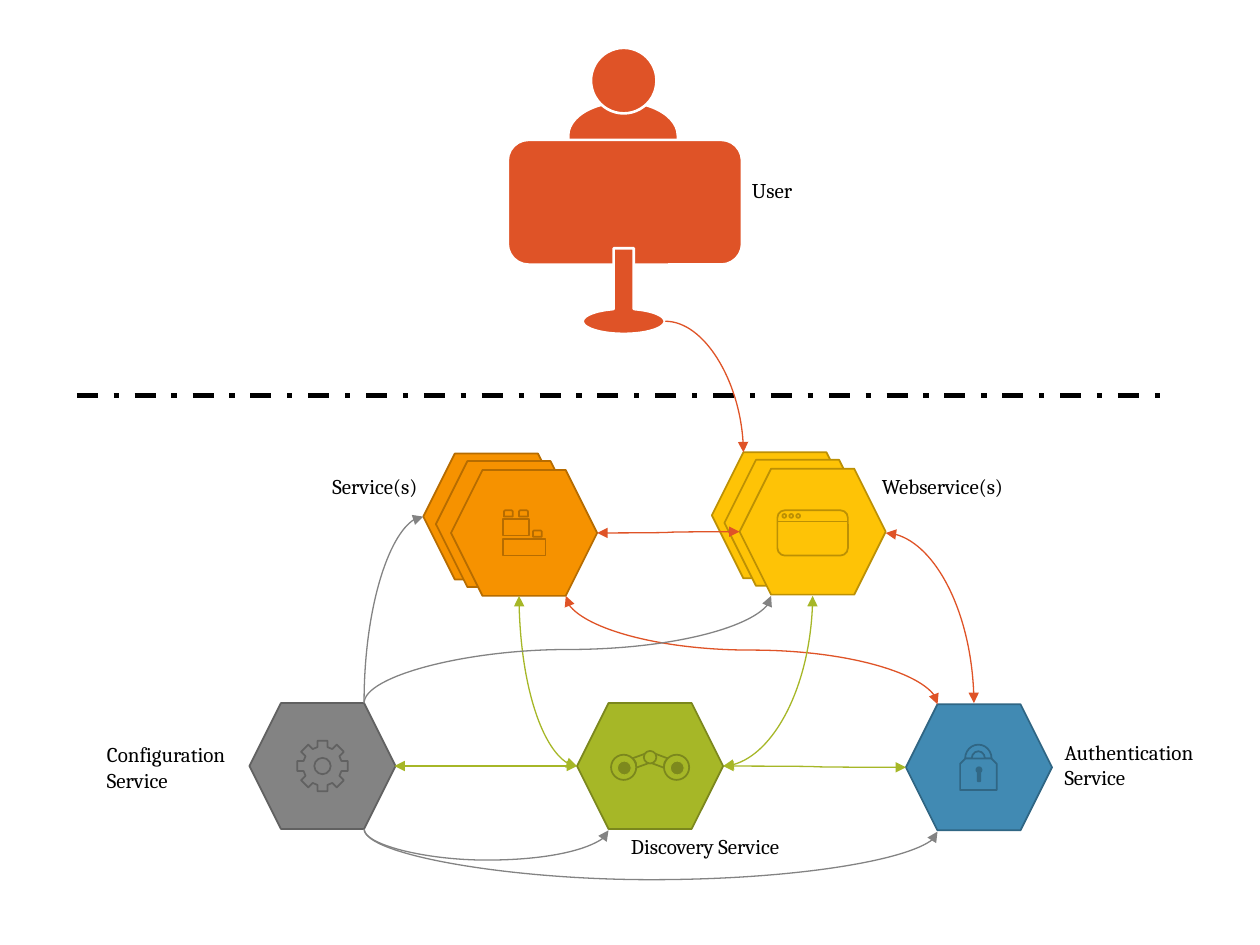
from dataclasses import dataclass
from math import cos, radians, sin

from lxml import etree
from pptx import Presentation
from pptx.dml.color import RGBColor
from pptx.enum.dml import MSO_LINE
from pptx.enum.shapes import MSO_CONNECTOR, MSO_SHAPE
from pptx.enum.text import MSO_AUTO_SIZE
from pptx.oxml.ns import qn
from pptx.util import Inches, Pt

HEXAGON, OVAL, RECT = MSO_SHAPE.HEXAGON, MSO_SHAPE.OVAL, MSO_SHAPE.RECTANGLE
ROUNDED, SNIPPED = MSO_SHAPE.ROUNDED_RECTANGLE, MSO_SHAPE.SNIP_2_SAME_RECTANGLE
BLOCK_ARC, DELAY = MSO_SHAPE.BLOCK_ARC, MSO_SHAPE.FLOWCHART_DELAY
TUBE = MSO_SHAPE.FLOWCHART_STORED_DATA
STRAIGHT, CURVE = MSO_CONNECTOR.STRAIGHT, MSO_CONNECTOR.CURVE


@dataclass(frozen=True)
class Theme:
    """Colour pairs are (fill, line)."""
    blue = ("418AB3", "306684")
    green = ("A6B727", "7B871D")
    grey = ("838383", "616161")
    orange = ("F69200", "B66C00")
    yellow = ("FEC306", "BC9004")
    user = ("DF5327", "FFFFFF")
    keyhole = ("316886", "316886")
    lens = ("7D891D", "A6B727")
    black = "000000"
    font = "Cambria"
    text_size = 12
    outline, lens_line, user_line, flow, border = 1, 0.5, 1.5, 0.75, 3


T = Theme()
HEX_W, HEX_H = 1.16, 1


def paint(sp, colors, width=T.outline):
    fill, line = colors
    sp.shadow.inherit = False
    sp.fill.solid()
    sp.fill.fore_color.rgb = RGBColor.from_string(fill)
    sp.line.color.rgb = RGBColor.from_string(line)
    sp.line.width = Pt(width)
    return sp


def add_part(shapes, kind, box, colors, width=T.outline, rotation=0):
    sp = shapes.add_shape(kind, *map(Inches, box))
    sp.rotation = rotation
    return paint(sp, colors, width)


def add_outline(shapes, points, colors, width=T.outline):
    first, *rest = [(Inches(x), Inches(y)) for x, y in points]
    builder = shapes.build_freeform(*first)
    builder.add_line_segments(rest, close=True)
    return paint(builder.convert_to_shape(), colors, width)


def arc(cx, cy, rx, ry, first, last, step=6):
    """Points on an ellipse, angles in degrees clockwise from the right."""
    return [(cx + rx * cos(radians(a)), cy + ry * sin(radians(a)))
            for a in range(first, last + 1, step)]


def add_line(shapes, kind, start, end, color, width):
    cn = shapes.add_connector(kind, *map(Inches, (*start, *end)))
    cn.line.color.rgb = RGBColor.from_string(color)
    cn.line.width = Pt(width)
    etree.SubElement(cn._element.spPr, qn("a:effectLst"))
    return cn


def add_flow(shapes, start, end, color, both=True, quarter=False, bend=None, vertical=False):
    """Curved arrow; quarter is a single turn, vertical leaves start up or down."""
    cn = add_line(shapes, CURVE, start, end, color, T.flow)
    sp_pr = cn._element.spPr
    ln = sp_pr.find(qn("a:ln"))
    for tag in ("a:headEnd", "a:tailEnd") if both else ("a:tailEnd",):
        etree.SubElement(ln, qn(tag), type="triangle")
    geom = sp_pr.find(qn("a:prstGeom"))
    if quarter:
        geom.set("prst", "curvedConnector2")
    if bend:
        etree.SubElement(geom.find(qn("a:avLst")), qn("a:gd"), name="adj1",
                         fmla=f"val {round(bend * 100000)}")
    if vertical:
        down = end[1] > start[1]
        left, top, width, height = cn.left, cn.top, cn.width, cn.height
        cn.left, cn.top = left + (width - height) // 2, top + (height - width) // 2
        cn.width, cn.height = height, width
        xfrm = sp_pr.find(qn("a:xfrm"))
        xfrm.set("rot", str((270 if down else 90) * 60000))
        xfrm.set("flipH", "1")
        xfrm.set("flipV", "0" if down else "1")


def add_hexagons(slide, x, y, colors, offsets=((0, 0),)):
    shapes = slide.shapes.add_group_shape().shapes
    for dx, dy in offsets:
        add_part(shapes, HEXAGON, (x + dx, y + dy, HEX_W, HEX_H), colors)
    return shapes


def authentication(slide, x, y):
    shapes = add_hexagons(slide, x, y, T.blue)
    shackle = add_part(shapes, BLOCK_ARC, (x + 0.47, y + 0.32, 0.21, 0.22), T.blue)
    for i, value in enumerate((108, 0, 0.25)):
        shackle.adjustments[i] = value
    add_part(shapes, SNIPPED, (x + 0.43, y + 0.43, 0.29, 0.25), T.blue)
    cx = x + 0.58
    hole = arc(cx, y + 0.52, 0.02, 0.02, 120, 420)
    add_outline(shapes, hole + [(cx + 0.01, y + 0.61), (cx - 0.01, y + 0.61)], T.keyhole)


def discovery(slide, x, y):
    shapes = add_hexagons(slide, x, y, T.green)
    for dx, angle in ((0.43, 160), (0.54, 20.5)):
        add_part(shapes, TUBE, (x + dx, y + 0.41, 0.19, 0.08), T.green, rotation=angle)
    add_part(shapes, OVAL, (x + 0.53, y + 0.38, 0.1, 0.1), T.green)
    for dx in (0.27, 0.69):
        add_part(shapes, OVAL, (x + dx, y + 0.41, 0.2, 0.2), T.green)
        add_part(shapes, OVAL, (x + dx + 0.05, y + 0.46, 0.11, 0.11), T.lens, T.lens_line)


def configuration(slide, x, y):
    shapes = add_hexagons(slide, x, y, T.grey)
    cx, cy = x + HEX_W / 2, y + HEX_H / 2
    tooth = ((0.15, -0.04), (0.2, -0.04), (0.2, 0.04), (0.15, 0.04))
    gear = [(cx + u * cos(a) - v * sin(a), cy + u * sin(a) + v * cos(a))
            for a in map(radians, range(0, 360, 45)) for u, v in tooth]
    add_outline(shapes, gear, T.grey)
    add_part(shapes, OVAL, (cx - 0.065, cy - 0.065, 0.13, 0.13), T.grey)


STACK = ((0, 0), (0.1, 0.06), (0.22, 0.13))


def services(slide, x, y):
    shapes = add_hexagons(slide, x, y, T.orange, STACK)
    for dy, width in ((0.52, 0.21), (0.68, 0.34)):
        add_part(shapes, RECT, (x + 0.63, y + dy, width, 0.13), T.orange)
    for dx, dy in ((0.64, 0.45), (0.76, 0.45), (0.87, 0.61)):
        add_part(shapes, SNIPPED, (x + dx, y + dy, 0.07, 0.05), T.orange)


def webservices(slide, x, y):
    shapes = add_hexagons(slide, x, y, T.yellow, STACK)
    left, top, width = x + 0.52, y + 0.46, 0.56
    add_part(shapes, ROUNDED, (left, top, width, 0.36), T.yellow)
    add_line(shapes, STRAIGHT, (left, top + 0.09), (left + width, top + 0.09),
             T.yellow[1], T.outline)
    for i in range(3):
        add_part(shapes, OVAL, (left + 0.04 + i * 0.055, top + 0.03, 0.03, 0.03), T.yellow)


def user(slide, x, y):
    shapes = slide.shapes.add_group_shape().shapes
    style = (T.user, T.user_line)
    add_part(shapes, DELAY, (x + 0.65, y + 0.26, 0.53, 0.87), *style, rotation=270)
    add_part(shapes, OVAL, (x + 0.66, y, 0.52, 0.52), *style)
    add_part(shapes, ROUNDED, (x, y + 0.73, 1.86, 0.99), *style)
    cx, post_top = x + 0.92, y + 1.59
    foot = arc(cx, y + 2.17, 0.325, 0.1, -75, 255)
    add_outline(shapes, [(cx - 0.08, post_top), (cx + 0.08, post_top),
                         (cx + 0.08, y + 2.07), *foot, (cx - 0.08, y + 2.07)], *style)


def label(slide, box, *lines):
    tf = slide.shapes.add_textbox(*map(Inches, box)).text_frame
    tf.word_wrap = False
    tf.auto_size = MSO_AUTO_SIZE.SHAPE_TO_FIT_TEXT
    for i, line in enumerate(lines):
        p = tf.add_paragraph() if i else tf.paragraphs[0]
        r = p.add_run()
        r.text = line
        r.font.name, r.font.size = T.font, Pt(T.text_size)
        r.font.color.rgb = RGBColor.from_string(T.black)


def flows(shapes):
    red, green, grey = T.user[0], T.green[0], T.grey[0]
    add_flow(shapes, (5.28, 2.55), (5.9, 3.59), red, both=False, quarter=True)
    add_flow(shapes, (7.03, 4.23), (7.73, 5.58), red, quarter=True)
    add_flow(shapes, (4.74, 4.23), (5.87, 4.22), red)
    add_flow(shapes, (4.49, 4.73), (7.44, 5.59), red, vertical=True)
    add_flow(shapes, (5.74, 6.08), (6.45, 4.73), green, quarter=True)
    add_flow(shapes, (5.74, 6.08), (7.19, 6.09), green)
    add_flow(shapes, (4.58, 6.08), (4.12, 4.73), green, quarter=True)
    add_flow(shapes, (3.13, 6.08), (4.58, 6.08), green)
    add_flow(shapes, (2.89, 5.58), (3.36, 4.1), grey, both=False, quarter=True, vertical=True)
    add_flow(shapes, (2.89, 5.58), (6.12, 4.73), grey, both=False, vertical=True)
    add_flow(shapes, (2.89, 6.58), (4.83, 6.59), grey, both=False, bend=25, vertical=True)
    add_flow(shapes, (2.89, 6.58), (7.44, 6.6), grey, both=False, bend=20, vertical=True)


def main():
    prs = Presentation()
    prs.slide_width, prs.slide_height = Inches(10), Inches(7.5)
    s = prs.slides.add_slide(prs.slide_layouts[6])
    authentication(s, 7.19, 5.59)
    discovery(s, 4.58, 5.58)
    configuration(s, 1.98, 5.58)
    services(s, 3.36, 3.6)
    webservices(s, 5.65, 3.59)
    border = add_line(s.shapes, STRAIGHT, (0.61, 3.14), (9.26, 3.14), T.black, T.border)
    border.line.dash_style = MSO_LINE.DASH_DOT
    user(s, 4.03, 0.38)
    flows(s.shapes)
    label(s, (2.54, 3.71, 0.92, 0.3), "Service(s)")
    label(s, (6.9, 3.71, 1.24, 0.3), "Webservice(s)")
    label(s, (0.75, 5.84, 1.22, 0.5), "Configuration", "Service")
    label(s, (4.91, 6.57, 1.5, 0.3), "Discovery Service")
    label(s, (8.35, 5.82, 1.31, 0.5), "Authentication", "Service")
    label(s, (5.87, 1.36, 0.54, 0.3), "User")
    prs.save("out.pptx")


if __name__ == "__main__":
    main()
